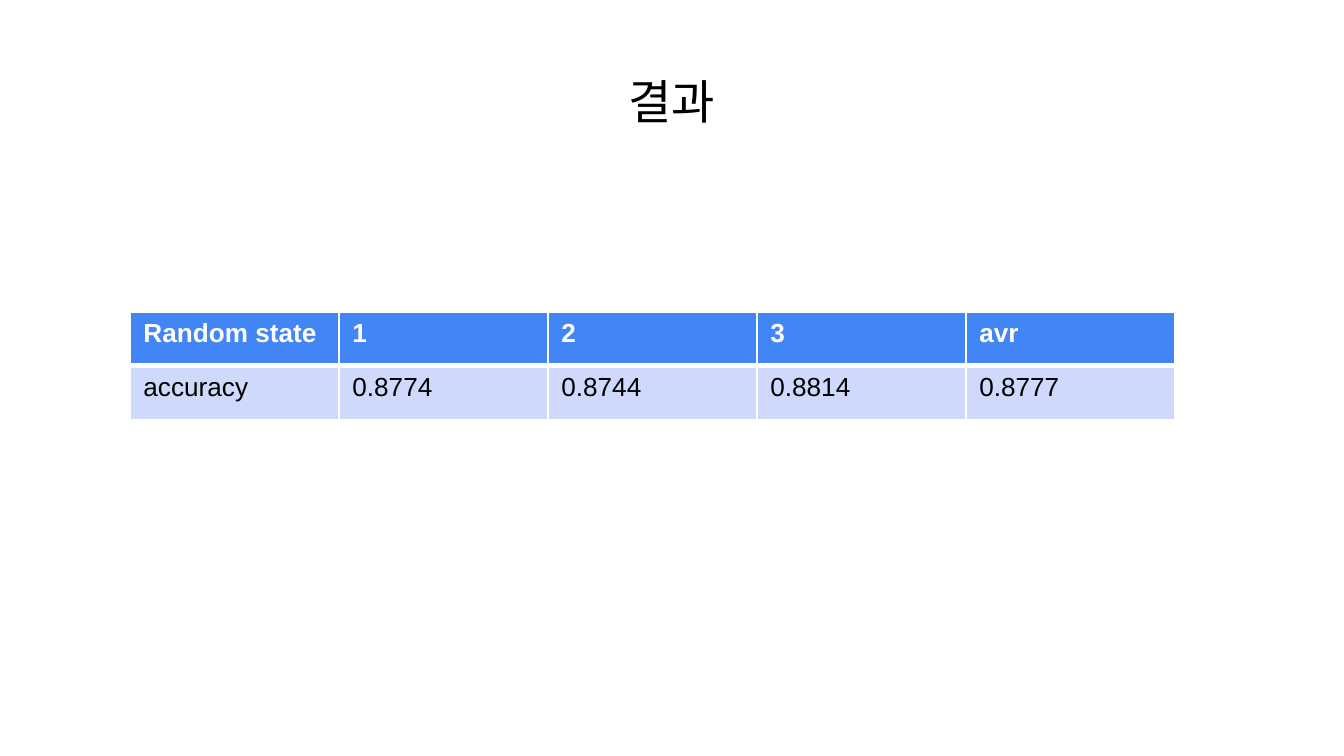
"""Build the results slide with its accuracy table."""
from lxml import etree
from pptx import Presentation
from pptx.dml.color import RGBColor
from pptx.enum.text import MSO_ANCHOR, PP_ALIGN
from pptx.oxml.ns import qn
from pptx.util import Pt

EMU_PER_PX = 914400 / 134.4
LEFT, CENTER = PP_ALIGN.LEFT, PP_ALIGN.CENTER
TOP = MSO_ANCHOR.TOP
FONT = "Arial"
COLORS = {"black": "000000", "white": "FFFFFF", "header": "4285F4", "body": "CFD9FB"}
RESULTS = [
    ["Random state", "1", "2", "3", "avr"],
    ["accuracy", "0.8774", "0.8744", "0.8814", "0.8777"],
]


def px(length):
    return round(length * EMU_PER_PX)


def write_text(frame, text, size=14, color="black", bold=False, align=LEFT, spacing=None):
    paragraph = frame.paragraphs[0]
    paragraph.alignment = align
    paragraph.line_spacing = spacing
    run = paragraph.add_run()
    run.text = text
    run.font.name = FONT
    run.font.size = Pt(size)
    run.font.bold = bold
    run.font.color.rgb = RGBColor.from_string(COLORS[color])


def add_title(slide, text, left, top, width, height):
    frame = slide.shapes.add_textbox(px(left), px(top), px(width), px(height)).text_frame
    frame.word_wrap = True
    frame.vertical_anchor = TOP
    frame.margin_left = frame.margin_right = px(13)
    frame.margin_top = frame.margin_bottom = px(13)
    write_text(frame, text, size=25.2, align=CENTER, spacing=0.9)


def set_borders(cell, widths):
    properties = cell._tc.get_or_add_tcPr()
    for side, width in widths.items():
        line = etree.SubElement(properties, qn(f"a:ln{side}"), w=str(Pt(width)))
        fill = etree.SubElement(line, qn("a:solidFill"))
        etree.SubElement(fill, qn("a:srgbClr"), val=COLORS["white"])


def add_results_table(slide, rows, left, top, column_width, row_height):
    column_count = len(rows[0])
    table = slide.shapes.add_table(
        len(rows), column_count, px(left), px(top),
        px(column_width * column_count), px(row_height * len(rows)),
    ).table
    for column in table.columns:
        column.width = px(column_width)
    for row_index, values in enumerate(rows):
        is_header = row_index == 0
        table.rows[row_index].height = px(row_height)
        for column_index, value in enumerate(values):
            cell = table.cell(row_index, column_index)
            set_borders(cell, {"L": 1, "R": 1, "T": 1 if is_header else 3,
                               "B": 3 if is_header else 1})
            cell.fill.solid()
            cell.fill.fore_color.rgb = RGBColor.from_string(
                COLORS["header" if is_header else "body"])
            write_text(cell.text_frame, value, bold=is_header,
                       color="white" if is_header else "black")


def main():
    presentation = Presentation()
    presentation.slide_width, presentation.slide_height = px(1344), px(756)
    slide = presentation.slides.add_slide(presentation.slide_layouts[6])
    add_title(slide, "결과", left=46, top=66, width=1252, height=84)
    add_results_table(slide, RESULTS, left=130, top=312, column_width=209, row_height=54)
    presentation.save("out.pptx")


if __name__ == "__main__":
    main()
